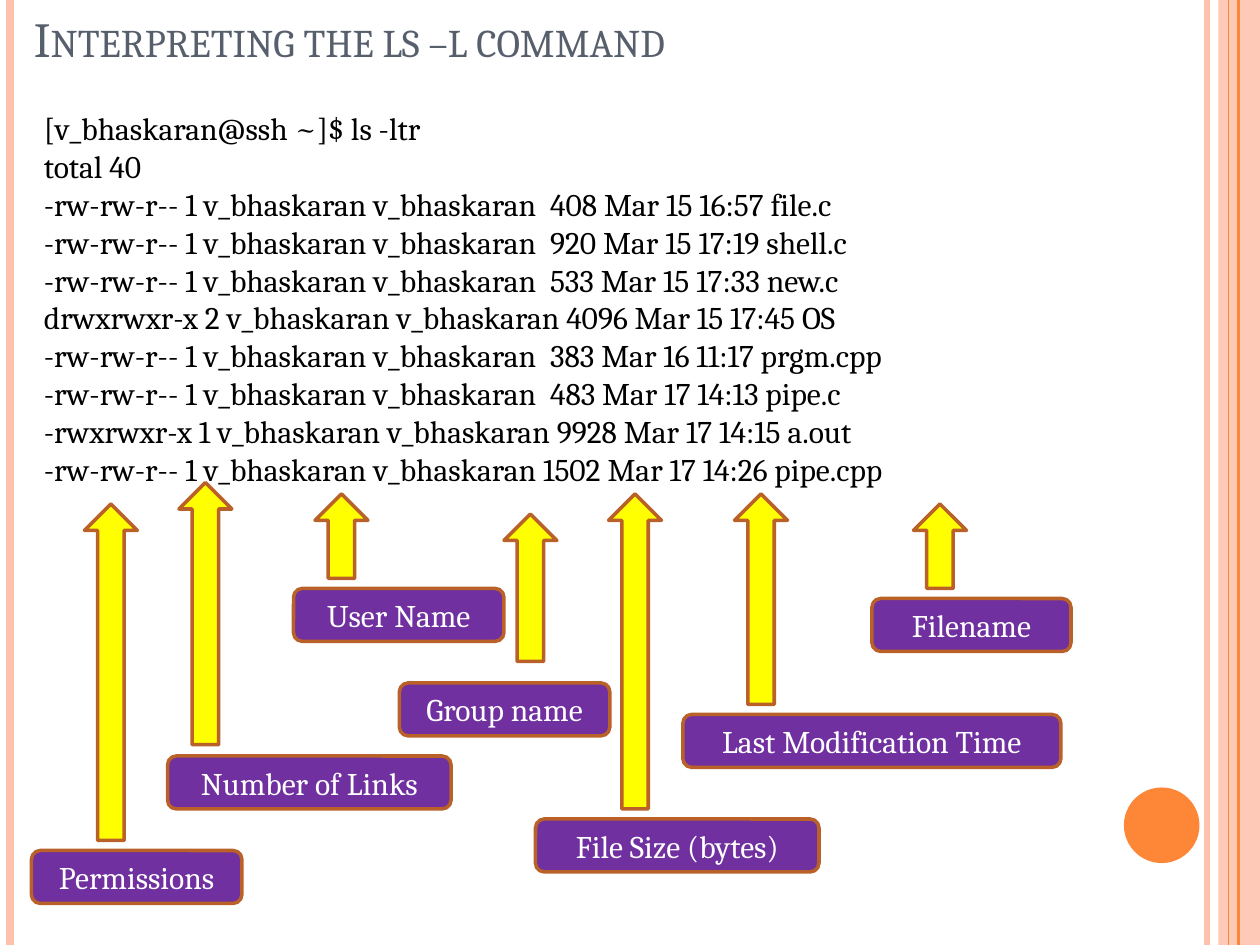
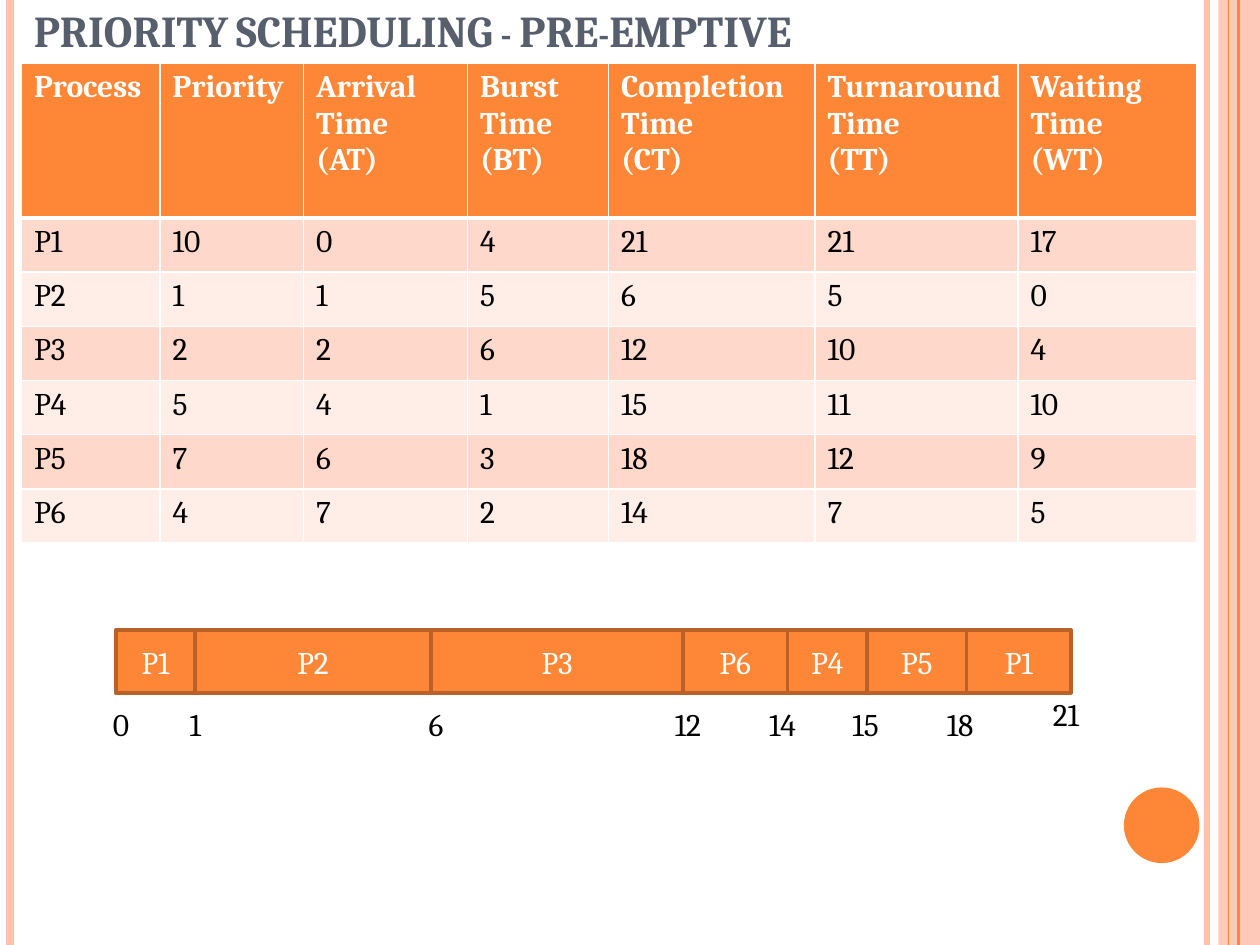
import pptx
import pptx.util
import pptx.dml.color
import pptx.enum.shapes
import pptx.enum.text
import pptx.oxml.ns
import lxml.etree
import dataclasses

Inches = pptx.util.Inches
Pt = pptx.util.Pt
KIND = pptx.enum.shapes.MSO_SHAPE
ALIGN = pptx.enum.text.PP_ALIGN
ANCHOR = pptx.enum.text.MSO_ANCHOR
rgb = pptx.dml.color.RGBColor.from_string
qn = pptx.oxml.ns.qn


@dataclasses.dataclass(frozen=True)
class Theme:
    font: str = "Cambria"
    body: float = 18
    slate: str = "575F6D"
    black: str = "000000"
    white: str = "FFFFFF"
    orange: str = "FE8637"
    rust: str = "B96128"
    peach: str = "FEC2AC"
    yellow: str = "FFFF00"
    purple: str = "7030A0"
    bands: tuple = ("FFD8CC", "FFEDE7")


theme = Theme()


def write(frame, text, color, size=theme.body, bold=False, align=ALIGN.LEFT):
    """Fill a text frame, one paragraph per line of text."""
    frame.word_wrap = True
    for i, line in enumerate(text.split("\n")):
        para = frame.paragraphs[0] if i == 0 else frame.add_paragraph()
        para.alignment = align
        run = para.add_run()
        run.text = line
        run.font.name = theme.font
        run.font.size = Pt(size)
        run.font.bold = bold
        run.font.color.rgb = rgb(color)


def draw(slide, kind, box, fill, edge=None, text="", color=theme.white):
    """Add a filled shape, with an outline and centred text if given."""
    shape = slide.shapes.add_shape(kind, *map(Inches, box))
    shape.shadow.inherit = False
    shape.fill.solid()
    shape.fill.fore_color.rgb = rgb(fill)
    if edge:
        shape.line.color.rgb = rgb(edge)
        shape.line.width = Pt(2)
    else:
        shape.line.fill.background()
    if text:
        shape.text_frame.vertical_anchor = ANCHOR.MIDDLE
        write(shape.text_frame, text, color, align=ALIGN.CENTER)
    return shape


deck = pptx.Presentation()
deck.slide_width, deck.slide_height = Inches(10), Inches(7.5)

# Shared frame: side rules, band, disc and title
titles = [
    ("Interpreting the ls –l command", 28, False, 0.58),
    ("PRIORITY SCHEDULING - PRE-EMPTIVE", 25.2, True, 0.5),
]
rules = [
    (9.58, theme.peach, 3),
    (0.08, theme.peach, 4.5),
    (9.83, theme.orange, 1.5),
    (9.75, theme.orange, 0.75),
]
for title, size, bold, height in titles:
    slide = deck.slides.add_slide(deck.slide_layouts[6])
    band = draw(slide, KIND.RECTANGLE, (9.67, 0, 0.33, 7.5), theme.peach)
    tint = band.fill._xPr.find(".//" + qn("a:srgbClr"))
    lxml.etree.SubElement(tint, qn("a:alpha"), val="87000")
    for x, color, width in rules:
        rule = slide.shapes.add_connector(
            pptx.enum.shapes.MSO_CONNECTOR.STRAIGHT,
            Inches(x), 0, Inches(x), deck.slide_height)
        rule.line.color.rgb = rgb(color)
        rule.line.width = Pt(width)
        lxml.etree.SubElement(rule._element.spPr, qn("a:effectLst"))
    draw(slide, KIND.OVAL, (8.92, 6.25, 0.6, 0.6), theme.orange)
    head = slide.shapes.add_textbox(
        Inches(0.17), 0, Inches(9.58), Inches(height)).text_frame
    head.vertical_anchor = ANCHOR.BOTTOM
    write(head, title, theme.slate, size, bold)
    head.paragraphs[0].runs[0].font._element.set("cap", "small")

first, second = deck.slides

# Slide 1: directory listing, sizes padded to four places
user = "v_bhaskaran"
files = [
    ("-rw-rw-r--", 1, 408, "Mar 15 16:57", "file.c"),
    ("-rw-rw-r--", 1, 920, "Mar 15 17:19", "shell.c"),
    ("-rw-rw-r--", 1, 533, "Mar 15 17:33", "new.c"),
    ("drwxrwxr-x", 2, 4096, "Mar 15 17:45", "OS"),
    ("-rw-rw-r--", 1, 383, "Mar 16 11:17", "prgm.cpp"),
    ("-rw-rw-r--", 1, 483, "Mar 17 14:13", "pipe.c"),
    ("-rwxrwxr-x", 1, 9928, "Mar 17 14:15", "a.out"),
    ("-rw-rw-r--", 1, 1502, "Mar 17 14:26", "pipe.cpp"),
]
lines = [f"[{user}@ssh ~]$ ls -ltr", "total 40"]
for mode, links, size, date, name in files:
    lines.append(f"{mode} {links} {user} {user} {size:>4} {date} {name}")
pane = first.shapes.add_textbox(
    Inches(0.25), Inches(0.82), Inches(9.25), Inches(3.43))
write(pane.text_frame, "\n".join(lines), theme.black)

# Slide 1: arrow (left, top, height) and label (text, left, top, width)
notes = [
    (0.67, 4, 2.67, "Permissions", 0.25, 6.75, 1.67),
    (1.42, 3.83, 2.08, "Number of Links", 1.33, 6, 2.25),
    (2.5, 3.92, 0.67, "User Name", 2.33, 4.67, 1.67),
    (4, 4.08, 1.17, "Group name", 3.17, 5.42, 1.67),
    (4.83, 3.92, 2.5, "File Size (bytes)", 4.25, 6.5, 2.25),
    (5.83, 3.92, 1.67, "Last Modification Time", 5.42, 5.67, 3),
    (7.25, 4, 0.67, "Filename", 6.92, 4.75, 1.58),
]
for x, top, height, text, left, y, width in notes:
    draw(first, KIND.UP_ARROW, (x, top, 0.42, height),
         theme.yellow, theme.rust)
    draw(first, KIND.ROUNDED_RECTANGLE, (left, y, width, 0.42),
         theme.purple, theme.rust, text)

# Slide 2: scheduling table
rows = [
    ("Process", "Priority", "Arrival Time (AT)", "Burst Time (BT)",
     "Completion Time\n(CT)", "Turnaround\nTime\n(TT)",
     "Waiting\nTime\n(WT)"),
    ("P1", 10, 0, 4, 21, 21, 17),
    ("P2", 1, 1, 5, 6, 5, 0),
    ("P3", 2, 2, 6, 12, 10, 4),
    ("P4", 5, 4, 1, 15, 11, 10),
    ("P5", 7, 6, 3, 18, 12, 9),
    ("P6", 4, 7, 2, 14, 7, 5),
]
widths = [1.1, 1.14, 1.3, 1.12, 1.64, 1.61, 1.42]
heights = [1.23] + [0.43] * 6
table = second.shapes.add_table(
    len(rows), len(widths), Inches(0.17), Inches(0.5),
    Inches(sum(widths)), Inches(sum(heights))).table
for col, width in zip(table.columns, widths):
    col.width = Inches(width)
for r, row in enumerate(rows):
    table.rows[r].height = Inches(heights[r])
    top = r == 0
    for c, value in enumerate(row):
        cell = table.cell(r, c)
        write(cell.text_frame, str(value),
              theme.white if top else theme.black, bold=top)
        # Borders stand before the fill; the header rule is thicker
        props = cell._tc.get_or_add_tcPr()
        for side in ("lnL", "lnR", "lnT", "lnB"):
            thick = (r, side) in ((0, "lnB"), (1, "lnT"))
            edge = lxml.etree.SubElement(
                props, qn("a:" + side), w=str(Pt(3 if thick else 1)))
            paint = lxml.etree.SubElement(edge, qn("a:solidFill"))
            lxml.etree.SubElement(paint, qn("a:srgbClr"), val=theme.white)
        cell.fill.solid()
        cell.fill.fore_color.rgb = rgb(
            theme.orange if top else theme.bands[(r - 1) % 2])

# Slide 2: Gantt bars between neighbouring edges
jobs = ["P1", "P2", "P3", "P6", "P4", "P5", "P1"]
edges = [0.92, 1.55, 3.42, 5.42, 6.25, 6.88, 7.67, 8.5]
for job, left, right in zip(jobs, edges, edges[1:]):
    draw(second, KIND.RECTANGLE, (left, 5, right - left, 0.5),
         theme.orange, theme.rust, job)

# Slide 2: time marks under the bars
marks = [(0, 0.67), (1, 1.26), (6, 3.17), (12, 5.17),
         (14, 5.92), (15, 6.58), (18, 7.33), (21, 8.17)]
for time, left in marks:
    y = 5.5 if time == 21 else 5.58
    mark = second.shapes.add_textbox(
        Inches(left), Inches(y), Inches(0.58), Inches(0.33))
    mark.text_frame.vertical_anchor = ANCHOR.MIDDLE
    write(mark.text_frame, str(time), theme.black, align=ALIGN.CENTER)

deck.save("out.pptx")
